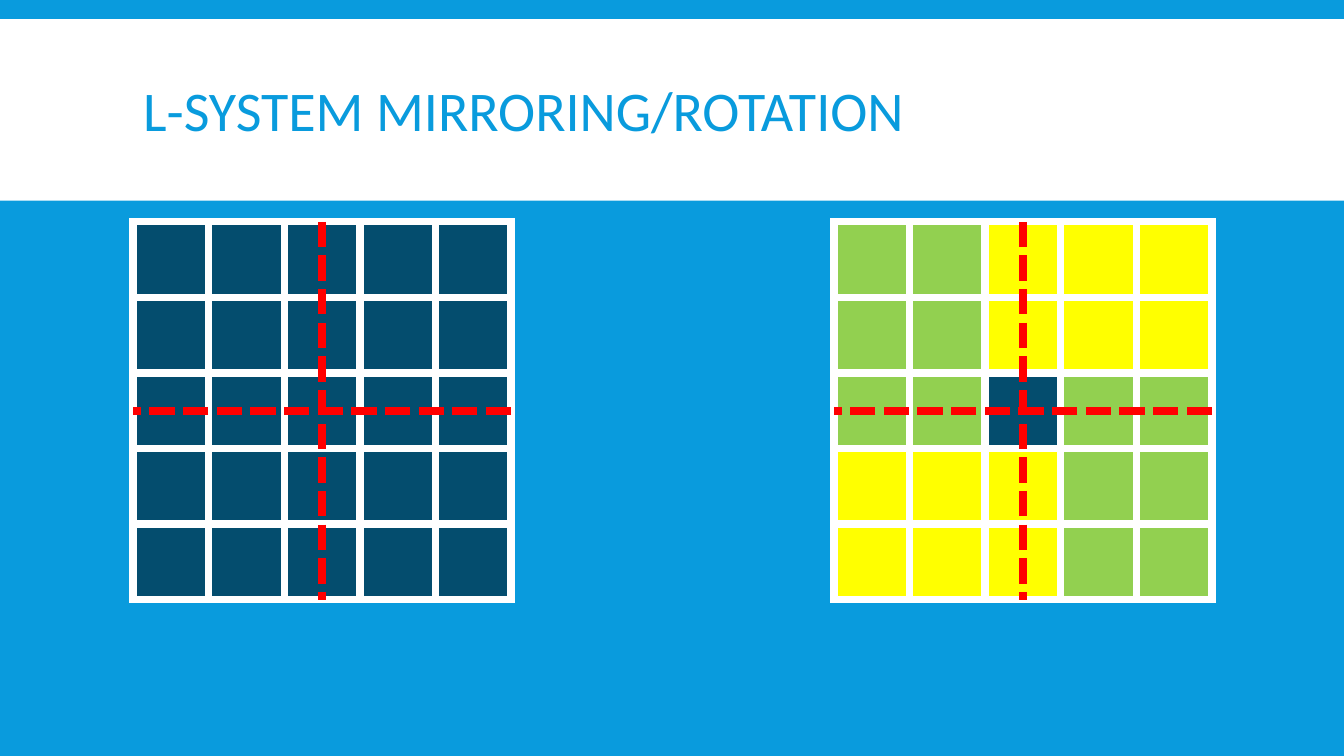
"""Build the L-system mirroring and rotation slide."""
from dataclasses import dataclass

import lxml.etree
import pptx
import pptx.dml.color
import pptx.enum.dml
import pptx.enum.shapes
import pptx.enum.text
import pptx.oxml
import pptx.oxml.ns
import pptx.util

EMU_PER_PX = 9144


@dataclass(frozen=True)
class Theme:
    blue: str = "099BDD"
    white: str = "FFFFFF"
    navy: str = "044D6E"
    green: str = "92D050"
    yellow: str = "FFFF00"
    red: str = "FF0000"
    font: str = "Calibri"
    title_size: int = 40
    line_width: int = 6


THEME = Theme()
FILLS = {"N": THEME.navy, "G": THEME.green, "Y": THEME.yellow}
PLAIN = ["NNNNN"] * 5
ROTATED = ["GGYYY", "GGYYY", "GGNGG", "YYYGG", "YYYGG"]


def px(*lengths):
    return [pptx.util.Emu(round(n * EMU_PER_PX)) for n in lengths]


def paint(fill, color):
    fill.solid()
    fill.fore_color.rgb = pptx.dml.color.RGBColor.from_string(color)


def add_header(slide, left, top, width, height):
    band = slide.shapes.add_shape(
        pptx.enum.shapes.MSO_SHAPE.RECTANGLE, *px(left, top, width, height))
    band.shadow.inherit = False
    paint(band.fill, THEME.white)
    band.line.fill.background()

    title = slide.shapes.title
    title.element.addprevious(band.element)
    title.left, title.top, title.width, title.height = px(
        left + 132, top + 12, 1070, 165)
    tf = title.text_frame
    tf.text = "L-SYSTEM MIRRORING/ROTATION"
    tf.word_wrap = True
    tf.auto_size = pptx.enum.text.MSO_AUTO_SIZE.NONE
    tf.vertical_anchor = pptx.enum.text.MSO_ANCHOR.MIDDLE
    p = tf.paragraphs[0]
    p.alignment = pptx.enum.text.PP_ALIGN.LEFT
    p.line_spacing = 0.85
    p.font.name = THEME.font
    p.font.size = pptx.util.Pt(THEME.title_size)
    p.font.color.rgb = pptx.dml.color.RGBColor.from_string(THEME.blue)


def add_borders(cell):
    tc_pr = cell._tc.get_or_add_tcPr()
    width = pptx.util.Pt(THEME.line_width)
    for i, side in enumerate(("lnL", "lnR", "lnT", "lnB")):
        ln = pptx.oxml.parse_xml(
            f'<a:{side} {pptx.oxml.ns.nsdecls("a")} w="{width}"><a:solidFill>'
            f'<a:srgbClr val="{THEME.white}"/></a:solidFill></a:{side}>')
        tc_pr.insert(i, ln)


def add_axis(slide, x1, y1, x2, y2):
    axis = slide.shapes.add_connector(
        pptx.enum.shapes.MSO_CONNECTOR.STRAIGHT, *px(x1, y1, x2, y2))
    paint(axis.line.fill, THEME.red)
    axis.line.width = pptx.util.Pt(THEME.line_width)
    axis.line.dash_style = pptx.enum.dml.MSO_LINE.SQUARE_DOT
    lxml.etree.SubElement(
        axis.element.spPr, pptx.oxml.ns.qn("a:effectLst"))


def add_grid(slide, left, top, size, pattern):
    n = len(pattern)
    table = slide.shapes.add_table(n, n, *px(left, top, size, size)).table
    table.first_row = table.horz_banding = False
    for r, row in enumerate(pattern):
        for c, key in enumerate(row):
            cell = table.cell(r, c)
            paint(cell.fill, FILLS[key])
            add_borders(cell)
    mid_x, mid_y = left + size / 2, top + size / 2
    add_axis(slide, mid_x, top, mid_x, top + size)
    add_axis(slide, left + size, mid_y, left, mid_y)


def main():
    prs = pptx.Presentation()
    prs.slide_width, prs.slide_height = px(1333, 750)
    slide = prs.slides.add_slide(prs.slide_layouts[5])
    paint(slide.background.fill, THEME.blue)
    add_header(slide, 0, 19, 1333, 180)
    for left, pattern in ((132, PLAIN), (827, ROTATED)):
        add_grid(slide, left, 220, 375, pattern)
    prs.save("out.pptx")


if __name__ == "__main__":
    main()
